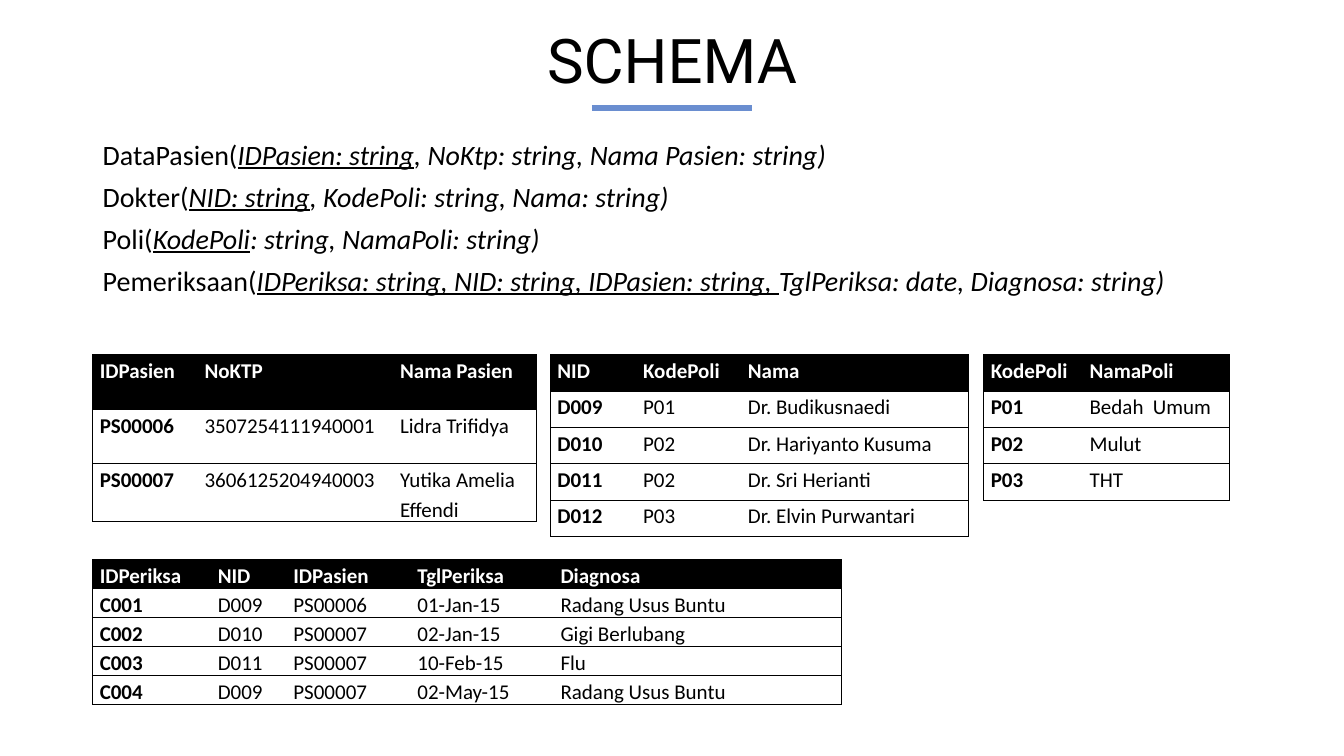
"""Build the SCHEMA slide: four relations and their sample tables."""
from dataclasses import dataclass

from lxml.etree import SubElement
from pptx import Presentation
from pptx.dml.color import RGBColor
from pptx.enum.shapes import MSO_CONNECTOR
from pptx.enum.text import MSO_ANCHOR, MSO_AUTO_SIZE, PP_ALIGN
from pptx.oxml.ns import qn
from pptx.util import Emu, Inches, Pt

COLORS = {"ink": "000000", "paper": "FFFFFF", "rule": "6A8ED0"}
TITLE = {"name": "Roboto", "size": Pt(44)}
BODY = {"name": "Calibri", "size": Pt(20)}
KEY = BODY | {"italic": True, "underline": True}
REST = BODY | {"italic": True, "underline": False}
CELL = {"name": "Calibri", "size": Pt(15)}
PAD = {"margin_left": Inches(0.07), "margin_right": Inches(0.07),
       "margin_top": 0, "margin_bottom": 0}
PLAIN = {"first_row": False, "horz_banding": False}
EDGE = Pt(0.5)

LEFT, WIDE = 6.9, 86.25
UPPER, LOWER = 46.93, 74


@dataclass
class Schema:
    """A relation with its underlined key and other fields."""
    name: str
    key: str
    rest: str


@dataclass
class Grid:
    """A sample table, sized in percent of the slide."""
    left: float
    top: float
    cols: list[float]
    row: float
    data: list[list[str]]


SCHEMAS = [
    Schema("DataPasien(", "IDPasien: string", ", NoKtp: string, Nama Pasien: string)"),
    Schema("Dokter(", "NID: string", ", KodePoli: string, Nama: string)"),
    Schema("Poli(", "KodePoli", ": string, NamaPoli: string)"),
    Schema("Pemeriksaan(", "IDPeriksa: string, NID: string, IDPasien: string, ",
           "TglPeriksa: date, Diagnosa: string)"),
]
GRIDS = [
    Grid(LEFT, UPPER, [7.8, 14.55, 10.65], 7.2, [
        ["IDPasien", "NoKTP", "Nama Pasien"],
        ["PS00006", "3507254111940001", "Lidra Trifidya"],
        ["PS00007", "3606125204940003", "Yutika Amelia Effendi"]]),
    Grid(40.95, UPPER, [6.38, 7.8, 16.95], 4.8, [
        ["NID", "KodePoli", "Nama"],
        ["D009", "P01", "Dr. Budikusnaedi"],
        ["D010", "P02", "Dr. Hariyanto Kusuma"],
        ["D011", "P02", "Dr. Sri Herianti"],
        ["D012", "P03", "Dr. Elvin Purwantari"]]),
    Grid(LEFT, LOWER, [8.78, 5.63, 9.23, 10.65, 21.45], 3.84, [
        ["IDPeriksa", "NID", "IDPasien", "TglPeriksa", "Diagnosa"],
        ["C001", "D009", "PS00006", "01-Jan-15", "Radang Usus Buntu"],
        ["C002", "D010", "PS00007", "02-Jan-15", "Gigi Berlubang"],
        ["C003", "D011", "PS00007", "10-Feb-15", "Flu"],
        ["C004", "D009", "PS00007", "02-May-15", "Radang Usus Buntu"]]),
    Grid(73.2, UPPER, [7.35, 10.95], 4.8, [
        ["KodePoli", "NamaPoli"],
        ["P01", "Bedah  Umum"],
        ["P02", "Mulut"],
        ["P03", "THT"]]),
]

deck = Presentation()
deck.slide_width, deck.slide_height = Inches(13.333), Inches(7.5)
slide = deck.slides.add_slide(deck.slide_layouts[6])


def across(share: float) -> Emu:
    """Turn a percent of the slide width into a length."""
    return Emu(round(deck.slide_width * share / 100))


def down(share: float) -> Emu:
    """Turn a percent of the slide height into a length."""
    return Emu(round(deck.slide_height * share / 100))


def apply(item, values: dict) -> None:
    """Set each named attribute on the item."""
    for name, value in values.items():
        setattr(item, name, value)


def write(para, text: str, font: dict, color: str = "ink") -> None:
    """Add a formatted run to a paragraph."""
    run = para.add_run()
    run.text = text
    apply(run.font, font)
    run.font.color.rgb = RGBColor.from_string(COLORS[color])


def frame(top: float, tall: float, values: dict):
    """Add a text box as wide as the content and return its frame."""
    box = slide.shapes.add_textbox(across(LEFT), down(top), across(WIDE), down(tall))
    apply(box.text_frame, {"word_wrap": True} | values)
    return box.text_frame


def border(cell, sides: dict[str, bool]) -> None:
    """Draw or clear the four edges of a cell."""
    props = cell._tc.get_or_add_tcPr()
    for side, shown in sides.items():
        line = SubElement(props, qn(f"a:ln{side}"), w=str(EDGE))
        fill = SubElement(line, qn("a:solidFill" if shown else "a:noFill"))
        if shown:
            SubElement(fill, qn("a:srgbClr"), val=COLORS["ink"])


def tabulate(grid: Grid) -> None:
    """Draw a table with a black header and ruled rows."""
    count, last = len(grid.data), len(grid.cols) - 1
    table = slide.shapes.add_table(
        count, len(grid.cols), across(grid.left), down(grid.top),
        across(sum(grid.cols)), down(grid.row * count)).table
    apply(table, PLAIN)
    for col, width in zip(table.columns, grid.cols):
        col.width = across(width)
    for r, texts in enumerate(grid.data):
        table.rows[r].height = down(grid.row)
        for c, text in enumerate(texts):
            cell = table.cell(r, c)
            apply(cell, PAD)
            border(cell, {"L": c == 0, "R": c == last, "T": True, "B": True})
            if r == 0:
                cell.fill.solid()
                cell.fill.fore_color.rgb = RGBColor.from_string(COLORS["ink"])
            else:
                cell.fill.background()
            para = cell.text_frame.paragraphs[0]
            para.line_spacing = 1.15
            write(para, text, CELL | {"bold": r == 0 or c == 0},
                  "ink" if r else "paper")


head = frame(-1.2, 19.33, {"vertical_anchor": MSO_ANCHOR.MIDDLE}).paragraphs[0]
apply(head, {"alignment": PP_ALIGN.CENTER, "line_spacing": 0.9})
write(head, "SCHEMA", TITLE)

rule = slide.shapes.add_connector(
    MSO_CONNECTOR.STRAIGHT, across(44.03), down(14.27), across(55.95), down(14.27))
rule.line.color.rgb = RGBColor.from_string(COLORS["rule"])
rule.line.width = Pt(4.5)
SubElement(rule._element.spPr, qn("a:effectLst"))

body = frame(17.47, 22.67, {"auto_size": MSO_AUTO_SIZE.SHAPE_TO_FIT_TEXT})
for i, schema in enumerate(SCHEMAS):
    para = body.add_paragraph() if i else body.paragraphs[0]
    para.space_after = Pt(6)
    write(para, schema.name, BODY)
    write(para, schema.key, KEY)
    write(para, schema.rest, REST)

for grid in GRIDS:
    tabulate(grid)

deck.save("out.pptx")
